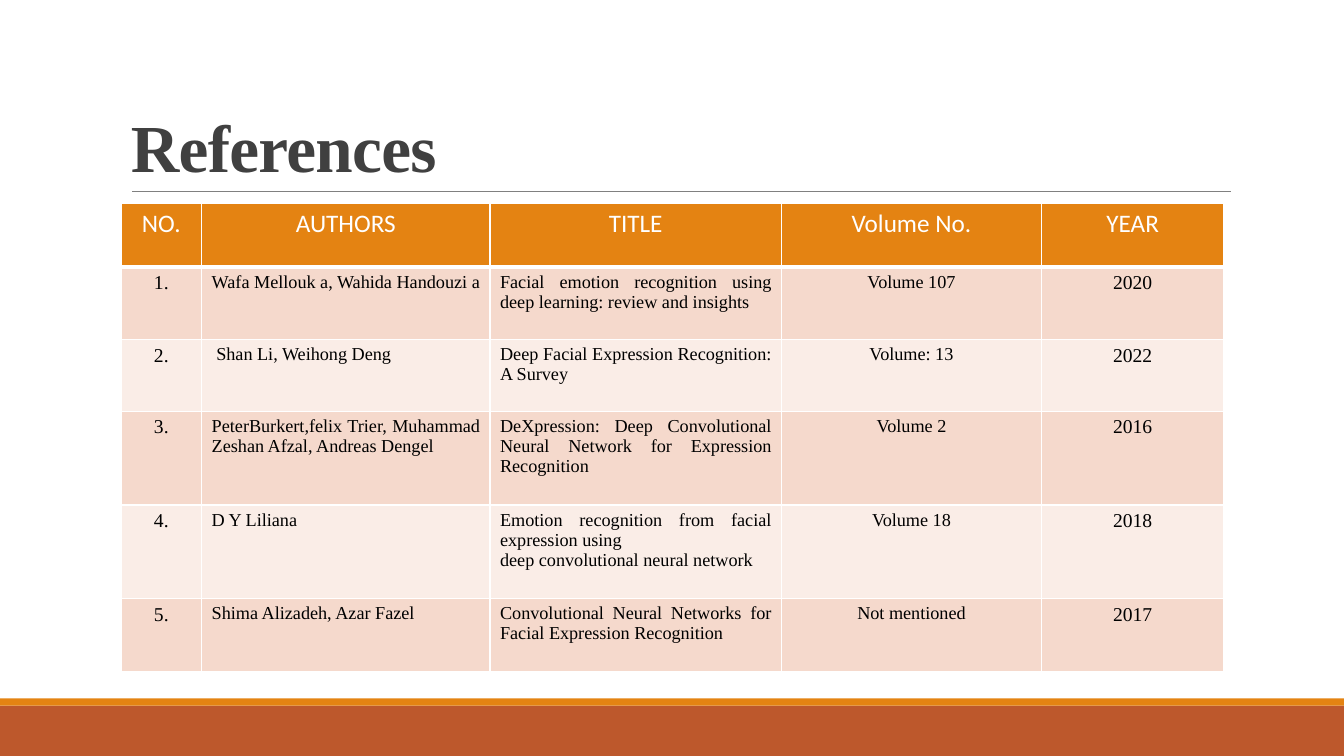
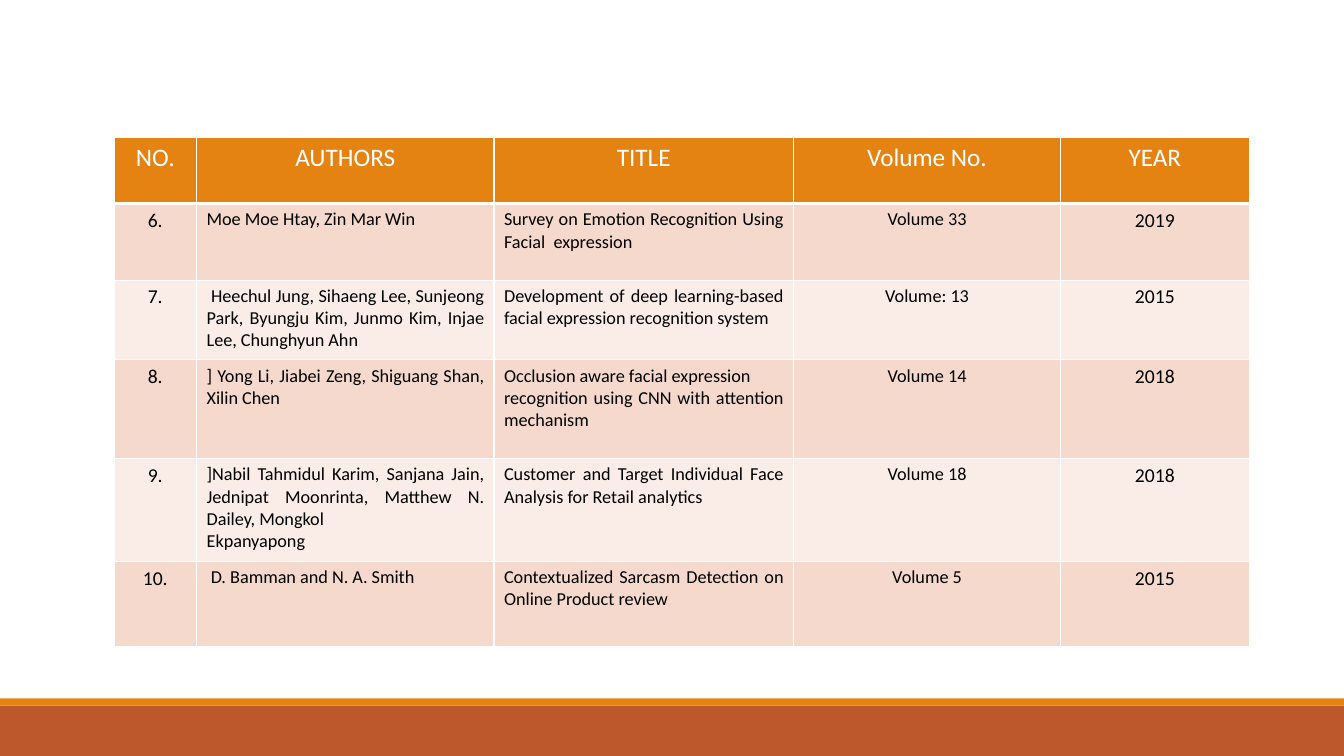
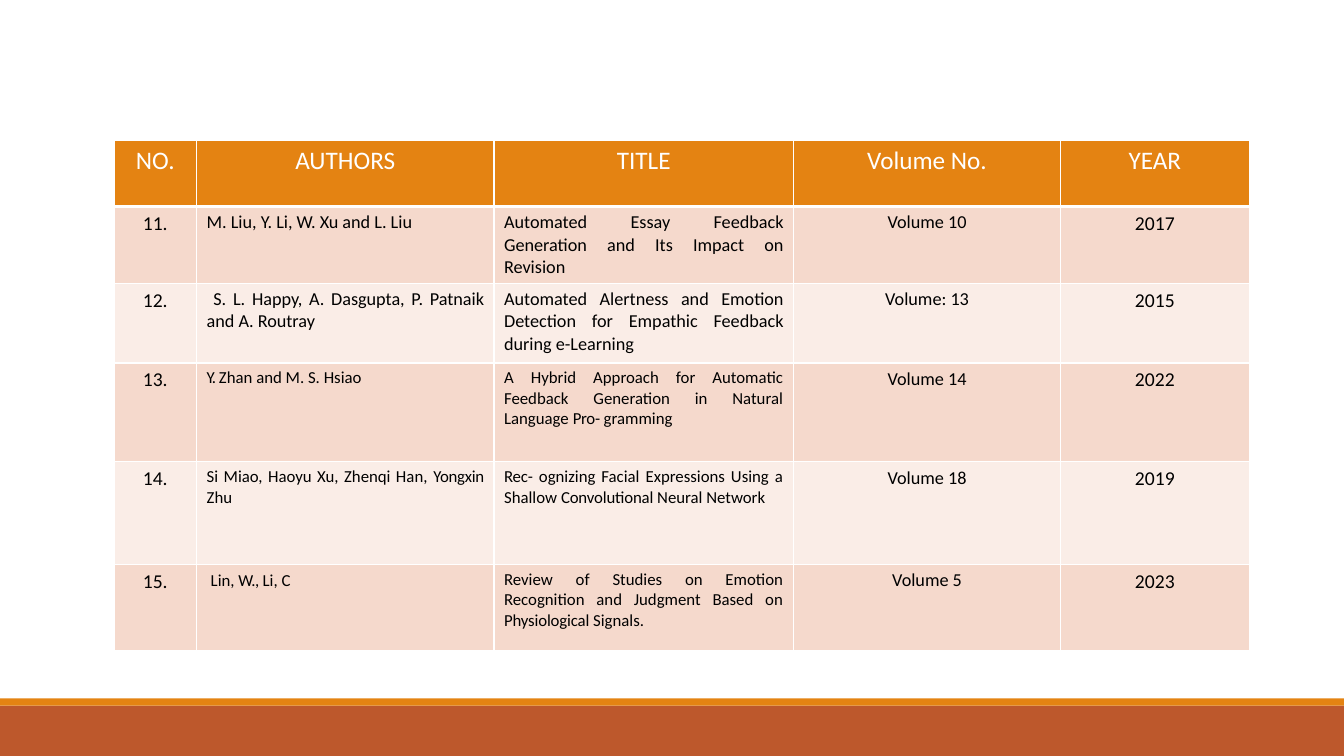
from dataclasses import dataclass

from lxml.etree import SubElement
from pptx import Presentation
from pptx.dml.color import RGBColor
from pptx.enum.shapes import MSO_CONNECTOR, MSO_SHAPE
from pptx.enum.text import MSO_ANCHOR, PP_ALIGN
from pptx.oxml.ns import qn
from pptx.util import Inches, Pt

COLORS = {
    "rust": "BD582C",
    "orange": "E48312",
    "rule": "808080",
    "title": "404040",
    "white": "FFFFFF",
    "black": "000000",
    "odd_row": "F5D9CC",
    "even_row": "FAEDE7",
}
SANS, SERIF = "Calibri", "Times New Roman"
SLIDE_WIDTH, SLIDE_HEIGHT = 13.33, 7.5
HEADINGS = ("NO.", "AUTHORS", "TITLE", "Volume No.", "YEAR")
CENTER, JUSTIFY = PP_ALIGN.CENTER, PP_ALIGN.JUSTIFY
COLUMN_STYLES = ((CENTER, 14), (JUSTIFY, 13), (JUSTIFY, 13), (CENTER, 13), (CENTER, 14))


@dataclass
class Span:
    """Part of a cell text with its own letter spacing and size."""
    text: str
    spacing: float = 0
    size: float = 12


@dataclass
class Page:
    """One slide of references."""
    left: float
    top: float
    columns: tuple
    rows: tuple
    font: str
    references: tuple
    title: str = ""


WIDE_COLUMNS = (0.82, 2.95, 2.97, 2.65, 1.87)
WIDE_ROWS = (0.66, 0.76, 0.79, 0.98, 1.02, 0.85)

PAGES = (
    Page(1.2, 2.02, (0.8, 2.86, 2.89, 2.58, 1.81), (0.63, 0.72, 0.71, 0.93, 0.93, 0.72), SERIF, (
        ("1.", "Wafa Mellouk a, Wahida Handouzi a",
         "Facial emotion recognition using deep learning: review and insights", "Volume 107", "2020"),
        ("2.", " Shan Li, Weihong Deng",
         "Deep Facial Expression Recognition: A Survey", "Volume: 13", "2022"),
        ("3.", "PeterBurkert,felix Trier, Muhammad Zeshan Afzal, Andreas Dengel",
         "DeXpression: Deep Convolutional Neural Network for Expression Recognition", "Volume 2", "2016"),
        ("4.", "D Y Liliana",
         "Emotion recognition from facial expression using\ndeep convolutional neural network",
         "Volume 18", "2018"),
        ("5.", "Shima Alizadeh, Azar Fazel",
         "Convolutional Neural Networks for Facial Expression Recognition", "Not mentioned", "2017"),
    ), "References"),
    Page(1.13, 1.36, WIDE_COLUMNS, WIDE_ROWS, SANS, (
        ("6.", "Moe Moe Htay, Zin Mar Win",
         "Survey on Emotion Recognition Using Facial  expression", "Volume 33", "2019"),
        ("7.", " Heechul Jung, Sihaeng Lee, Sunjeong Park, Byungju Kim, Junmo Kim, Injae Lee, Chunghyun Ahn",
         "Development of deep learning-based facial expression recognition system", "Volume: 13", "2015"),
        ("8.", "] Yong Li, Jiabei Zeng, Shiguang Shan, Xilin Chen",
         "Occlusion aware facial expression \nrecognition using CNN with attention mechanism",
         "Volume 14", "2018"),
        ("9.", "]Nabil Tahmidul Karim, Sanjana Jain, Jednipat Moonrinta, Matthew N. Dailey, Mongkol \nEkpanyapong",
         "Customer and Target Individual Face Analysis for Retail analytics", "Volume 18", "2018"),
        ("10.", " D. Bamman and N. A. Smith",
         "Contextualized Sarcasm Detection on Online Product review", "Volume 5", "2015"),
    )),
    Page(1.13, 1.39, WIDE_COLUMNS, WIDE_ROWS, SANS, (
        ("11.", "M. Liu, Y. Li, W. Xu and L. Liu",
         "Automated Essay Feedback Generation and Its Impact on Revision", "Volume 10", "2017"),
        ("12.", " S. L. Happy, A. Dasgupta, P. Patnaik and A. Routray",
         "Automated Alertness and Emotion Detection for Empathic Feedback during e-Learning",
         "Volume: 13", "2015"),
        ("13.", (Span("Y. ", -0.7), Span("Zhan and M. S. Hsiao")),
         (Span("A Hybrid Approach for Automatic Feedback Generation in Natural Language "),
          Span("Pro- ", -0.2), Span("gramming")), "Volume 14", "2022"),
        ("14.", (Span("Si Miao, Haoyu Xu, Zhenqi Han, "), Span("Yongxin ", -0.2), Span("Zhu")),
         (Span("Rec- ", -0.1), Span("ognizing Facial Expressions Using a Shallow "),
          Span("Convolutional ", -0.1), Span("Neural Network")), "Volume 18", "2019"),
        ("15.", (Span(" ", size=13), Span("Lin, "), Span("W., ", -0.3), Span("Li, C")),
         (Span("Review of Studies on Emotion Recognition and Judgment Based on "),
          Span("Physiological ", -0.1), Span("Signals.")), "Volume 5", "2023"),
    )),
)


def rgb(name):
    """Return the named colour."""
    return RGBColor.from_string(COLORS[name])


def add_span(paragraph, span, font, color, bold=False):
    """Add one run of text to a paragraph."""
    run = paragraph.add_run()
    run.text = span.text
    run.font.name = font
    run.font.size = Pt(span.size)
    run.font.bold = bold
    run.font.color.rgb = rgb(color)
    if span.spacing:
        run.font._element.set("spc", str(round(span.spacing * 100)))


def add_band(slide, top, height, color):
    """Draw a full-width footer band."""
    band = slide.shapes.add_shape(
        MSO_SHAPE.RECTANGLE, 0, Inches(top), Inches(SLIDE_WIDTH), Inches(height))
    band.shadow.inherit = False
    band.fill.solid()
    band.fill.fore_color.rgb = rgb(color)
    band.line.fill.background()


def add_title(slide, title, left, top, width, height):
    """Place the heading above its thin rule."""
    bottom = Inches(top + height)
    rule = slide.shapes.add_connector(
        MSO_CONNECTOR.STRAIGHT, Inches(left + 0.11), bottom, Inches(left + width + 0.01), bottom)
    rule.line.color.rgb = rgb("rule")
    rule.line.width = Pt(0.5)
    SubElement(rule._element.spPr, qn("a:effectLst"))
    heading = slide.shapes.add_textbox(Inches(left), Inches(top), Inches(width), Inches(height))
    frame = heading.text_frame
    frame.word_wrap = True
    frame.vertical_anchor = MSO_ANCHOR.BOTTOM
    paragraph = frame.paragraphs[0]
    paragraph.line_spacing = 0.85
    add_span(paragraph, Span(title, -0.5, 48), SERIF, "title", True)


def set_borders(cell, bottom_width):
    """Give a cell white borders."""
    properties = cell._tc.get_or_add_tcPr()
    for side, width in (("lnL", 1), ("lnR", 1), ("lnT", 1), ("lnB", bottom_width)):
        border = SubElement(properties, qn(f"a:{side}"), w=str(Pt(width)))
        fill = SubElement(border, qn("a:solidFill"))
        SubElement(fill, qn("a:srgbClr"), val=COLORS["white"])


def fill_cell(cell, content, align, size, font, color, background, bottom_width=1):
    """Write and style one table cell."""
    set_borders(cell, bottom_width)
    cell.fill.solid()
    cell.fill.fore_color.rgb = rgb(background)
    if isinstance(content, str):
        lines = [[Span(line, size=size)] for line in content.split("\n")]
    else:
        lines = [content]
    frame = cell.text_frame
    for index, spans in enumerate(lines):
        paragraph = frame.add_paragraph() if index else frame.paragraphs[0]
        paragraph.alignment = align
        for span in spans:
            add_span(paragraph, span, font, color)


def add_references(slide, page):
    """Place the table of references."""
    table = slide.shapes.add_table(
        len(page.rows), len(page.columns), Inches(page.left), Inches(page.top),
        Inches(sum(page.columns)), Inches(sum(page.rows))).table
    for column, width in zip(table.columns, page.columns):
        column.width = Inches(width)
    for row, height in zip(table.rows, page.rows):
        row.height = Inches(height)
    for column, heading in enumerate(HEADINGS):
        fill_cell(table.cell(0, column), heading, CENTER, 18, SANS, "white", "orange", 3)
    for row, reference in enumerate(page.references, 1):
        background = "odd_row" if row % 2 else "even_row"
        for column, (content, (align, size)) in enumerate(zip(reference, COLUMN_STYLES)):
            fill_cell(table.cell(row, column), content, align, size, page.font, "black", background)


def add_page(presentation, page):
    """Build one slide of references."""
    slide = presentation.slides.add_slide(presentation.slide_layouts[6])
    add_band(slide, 7, 0.5, "rust")
    add_band(slide, 6.93, 0.07, "orange")
    if page.title:
        add_title(slide, page.title, 1.2, 0.31, 11, 1.59)
    add_references(slide, page)


def main():
    """Build and save the presentation."""
    presentation = Presentation()
    presentation.slide_width = Inches(SLIDE_WIDTH)
    presentation.slide_height = Inches(SLIDE_HEIGHT)
    for page in PAGES:
        add_page(presentation, page)
    presentation.save("out.pptx")


if __name__ == "__main__":
    main()
